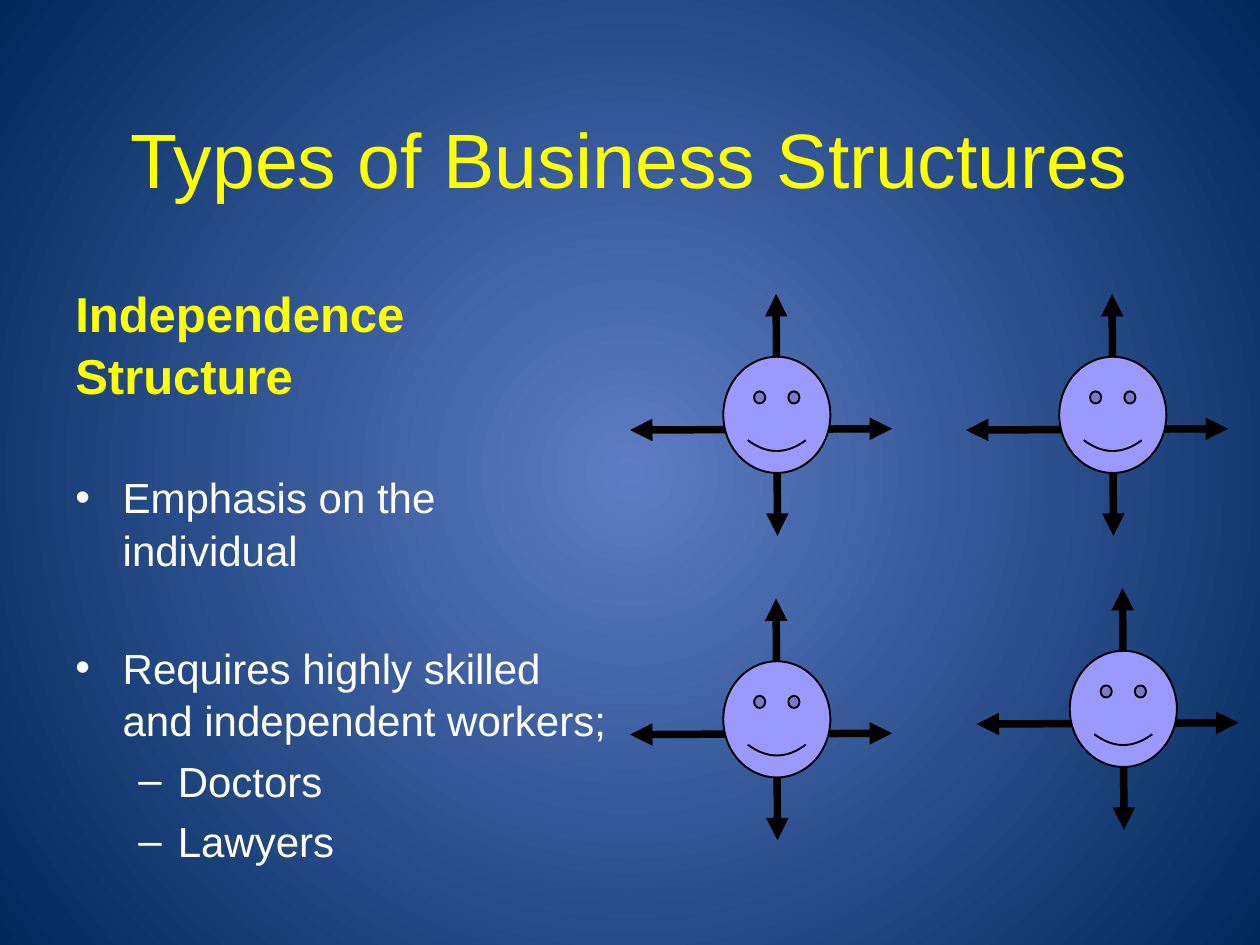
from lxml import etree
from pptx import Presentation
from pptx.dml.color import RGBColor
from pptx.enum.shapes import MSO_CONNECTOR, MSO_SHAPE
from pptx.enum.text import MSO_ANCHOR, PP_ALIGN
from pptx.oxml.ns import qn
from pptx.util import Pt

STRAIGHT = MSO_CONNECTOR.STRAIGHT
SMILEY = MSO_SHAPE.SMILEY_FACE
MIDDLE = MSO_ANCHOR.MIDDLE
CENTER = PP_ALIGN.CENTER

YELLOW = RGBColor(0xFF, 0xFF, 0x00)
WHITE = RGBColor(0xFF, 0xFF, 0xFF)
BLACK = RGBColor(0x00, 0x00, 0x00)
LILAC = RGBColor(0x99, 0x99, 0xFF)
CENTRE_BLUE = RGBColor(0x5E, 0x7C, 0xC5)
EDGE_BLUE = RGBColor(0x00, 0x29, 0x5C)

FONT = "Arial"
TITLE_BOX = (36, 36, 648, 108)
BODY_BOX = (36, 156.2, 318.2, 336.2)
WORKER_SIZE = (149.8, 138.2)
WORKER_CORNERS = [(360, 168), (552, 168), (360, 342), (558, 336)]

SECTION_GAP = 37
LINE_GAP = 4.2
BULLET = ("•", 27, -27)
DASH = ("–", 58.5, -22.5)
BODY_LINES = [
    ("Independence Structure", 28, YELLOW, True, LINE_GAP, None),
    ("Emphasis on the individual", 24, WHITE, False, SECTION_GAP, BULLET),
    ("Requires highly skilled and independent workers;", 24, WHITE, False, SECTION_GAP, BULLET),
    ("Doctors", 24, WHITE, False, LINE_GAP, DASH),
    ("Lawyers", 24, WHITE, False, LINE_GAP, DASH),
]


def paint_background(slide):
    fill = slide.background.fill
    fill.gradient()
    for stop, color, position in zip(fill.gradient_stops, (CENTRE_BLUE, EDGE_BLUE), (0, 1)):
        stop.color.rgb = color
        stop.position = position
    gradient = slide.element.find(".//" + qn("a:gradFill"))
    gradient.remove(gradient.find(qn("a:lin")))
    circle = etree.SubElement(gradient, qn("a:path"), path="circle")
    etree.SubElement(circle, qn("a:fillToRect"), l="50000", t="50000", r="50000", b="50000")


def format_runs(paragraph, size, color, bold=False):
    for run in paragraph.runs:
        run.font.name = FONT
        run.font.size = Pt(size)
        run.font.bold = bold
        run.font.color.rgb = color


def place_title(slide, box):
    title = slide.shapes.title
    title.left, title.top, title.width, title.height = map(Pt, box)
    text_frame = title.text_frame
    text_frame.text = "Types of Business Structures"
    text_frame.vertical_anchor = MIDDLE
    paragraph = text_frame.paragraphs[0]
    paragraph.alignment = CENTER
    format_runs(paragraph, 44, YELLOW)


def add_bullet(paragraph, character, margin, indent):
    properties = paragraph._p.get_or_add_pPr()
    properties.set("marL", str(Pt(margin)))
    properties.set("indent", str(Pt(indent)))
    etree.SubElement(properties, qn("a:buFont"), typeface=FONT)
    etree.SubElement(properties, qn("a:buChar"), char=character)


def place_body(slide, box):
    text_frame = slide.shapes.add_textbox(*map(Pt, box)).text_frame
    text_frame.word_wrap = True
    text_frame.margin_top = text_frame.margin_bottom = Pt(4.3)
    for index, (text, size, color, bold, gap, marker) in enumerate(BODY_LINES):
        paragraph = text_frame.add_paragraph() if index else text_frame.paragraphs[0]
        paragraph.text = text
        paragraph.line_spacing = 1.05
        paragraph.space_before = Pt(gap)
        format_runs(paragraph, size, color, bold)
        if marker:
            add_bullet(paragraph, *marker)


def add_double_arrow(shapes, start, end):
    arrow = shapes.add_connector(STRAIGHT, *map(Pt, start + end))
    arrow.line.color.rgb = BLACK
    arrow.line.width = Pt(4.27)
    line = arrow.line._get_or_add_ln()
    for tag in ("a:headEnd", "a:tailEnd"):
        etree.SubElement(line, qn(tag), type="triangle")
    etree.SubElement(arrow._element.spPr, qn("a:effectLst"))


def place_worker(slide, left, top, width, height):
    shapes = slide.shapes.add_group_shape().shapes
    center_x = left + 0.56 * width
    arm_y = top + 0.56 * height
    add_double_arrow(shapes, (left + width, arm_y - 0.4), (left, arm_y + 0.4))
    add_double_arrow(shapes, (center_x - 0.4, top), (center_x + 0.4, top + height))
    face_width, face_height = 61.2, 66.4
    face = shapes.add_shape(
        SMILEY, Pt(center_x - face_width / 2), Pt(top + (height - face_height) / 2),
        Pt(face_width), Pt(face_height))
    face.shadow.inherit = False
    face.fill.solid()
    face.fill.fore_color.rgb = LILAC
    face.line.color.rgb = BLACK
    face.line.width = Pt(1.07)


def main():
    presentation = Presentation()
    presentation.slide_width = Pt(720)
    presentation.slide_height = Pt(540)
    slide = presentation.slides.add_slide(presentation.slide_layouts[5])
    paint_background(slide)
    place_body(slide, BODY_BOX)
    place_title(slide, TITLE_BOX)
    for left, top in WORKER_CORNERS:
        place_worker(slide, left, top, *WORKER_SIZE)
    presentation.save("out.pptx")


if __name__ == "__main__":
    main()
